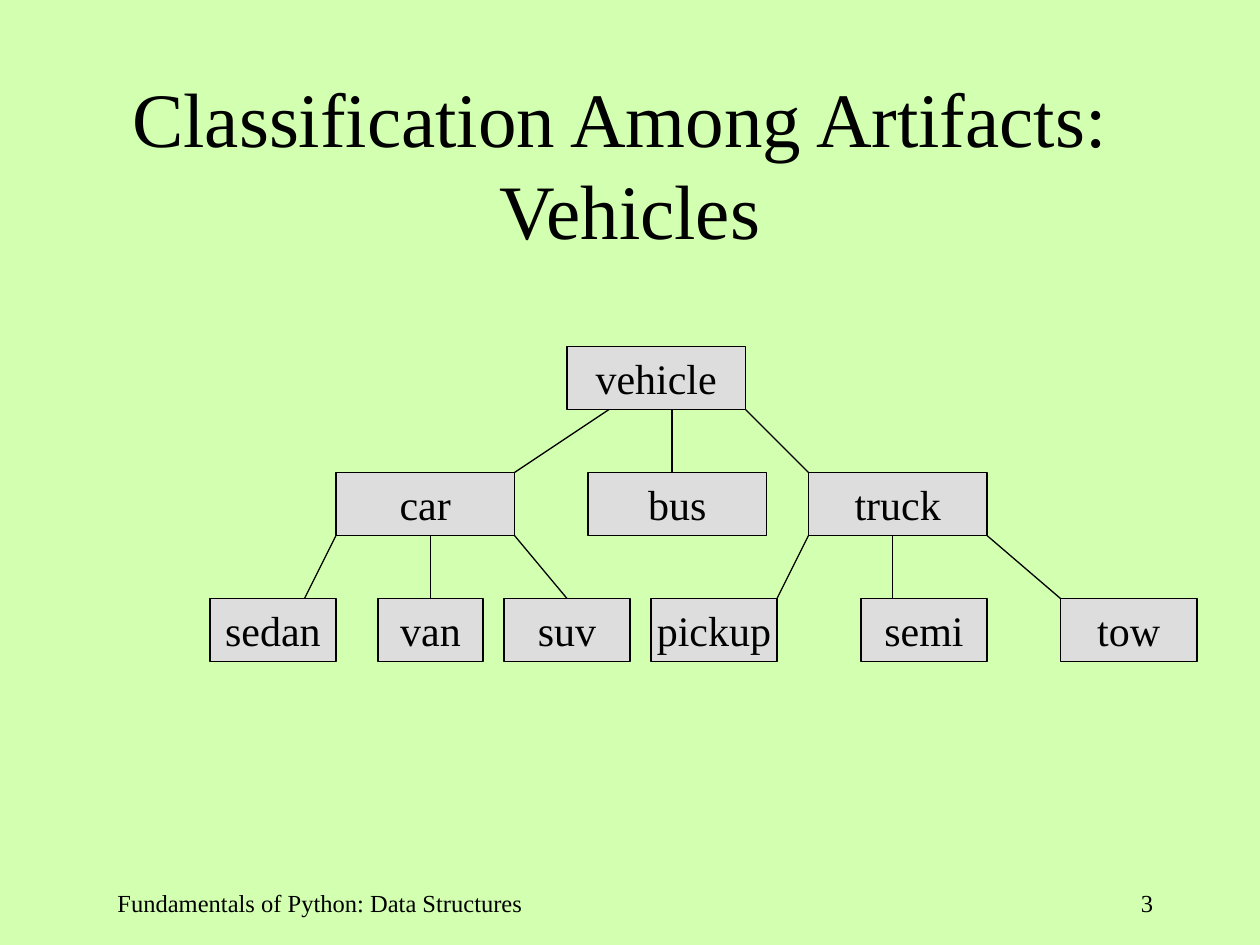
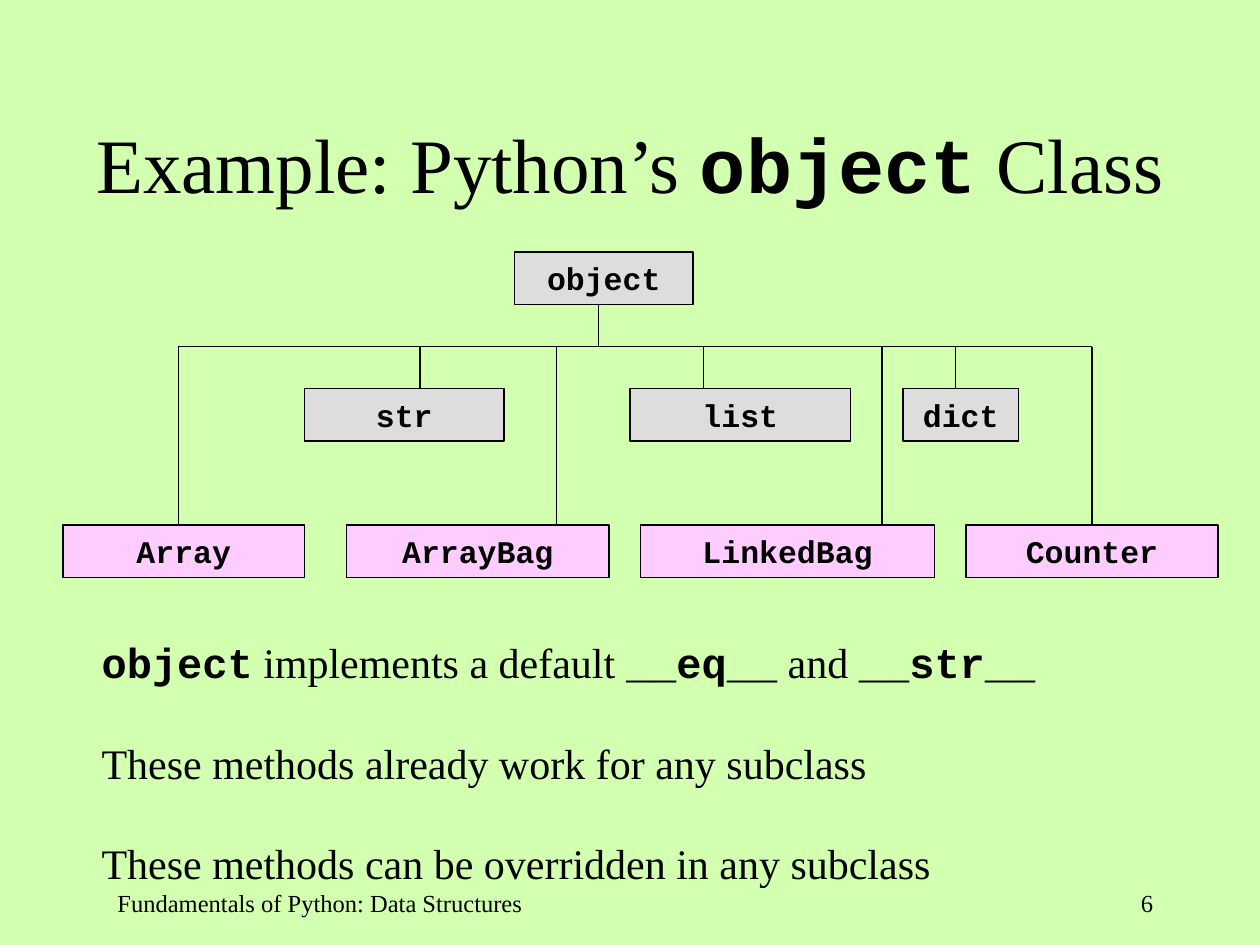
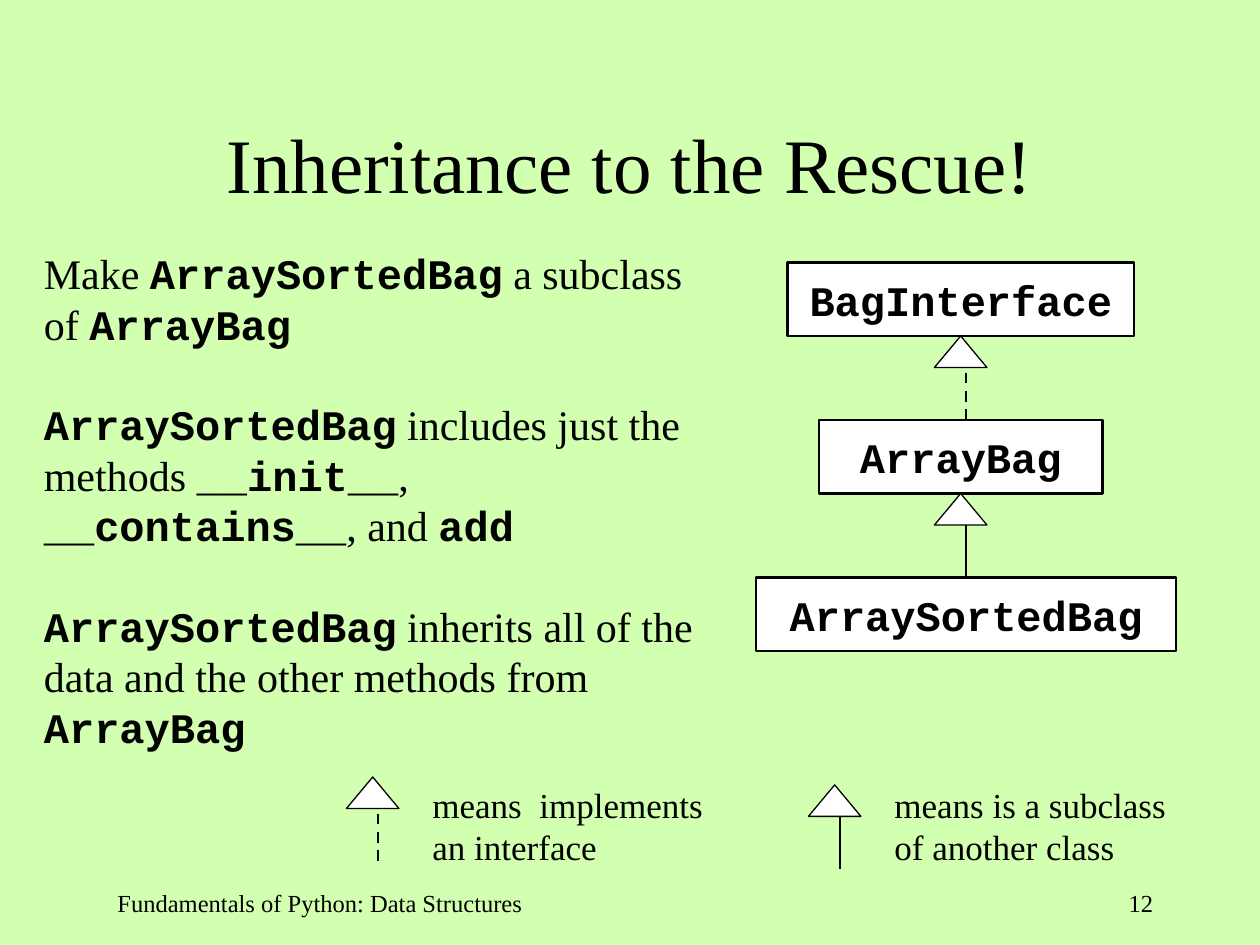
from dataclasses import dataclass

from lxml.etree import SubElement
from pptx import Presentation
from pptx.dml.color import RGBColor
from pptx.enum.dml import MSO_LINE
from pptx.enum.shapes import MSO_CONNECTOR, MSO_SHAPE
from pptx.enum.text import MSO_ANCHOR, PP_ALIGN
from pptx.oxml.ns import qn
from pptx.util import Pt


@dataclass(frozen=True)
class Theme:
    background: str = "D2FFB0"
    ink: str = "000000"
    gray: str = "DDDDDD"
    pink: str = "FFCCFF"
    white: str = "FFFFFF"
    text_font: str = "Times New Roman"
    code_font: str = "Courier New"
    title_size: int = 44
    body_size: int = 24
    legend_size: int = 20
    class_size: int = 18
    footer_size: int = 14
    line_height: float = 1.2
    thin: float = 0.75
    thick: float = 1.5


THEME = Theme()
FOOTER = "Fundamentals of Python: Data Structures"

VEHICLES = {
    "title": "Classification Among Artifacts: \nVehicles",
    "number": "3",
    "top": 198,
    "row_step": 72,
    "box_height": 36,
    "levels": [
        [("vehicle", 324, 102)],
        [("car", 192, 102), ("bus", 336, 102), ("truck", 462, 102)],
        [("sedan", 120, 72), ("van", 216, 60), ("suv", 288, 72),
         ("pickup", 372, 72), ("semi", 492, 72), ("tow", 606, 78)],
    ],
    "links": [
        [(348, 294), (384, 384), (426, 462)],
        [(192, 174), (246, 246), (294, 324), (462, 444), (510, 510), (564, 606)],
    ],
}

OBJECT_CLASS = {
    "title": "Example: Python’s `object` Class",
    "number": "6",
    "box_height": 30,
    "root": ("`object`", 294, 102),
    "root_top": 144,
    "stem": 342,
    "rail_top": 198,
    "levels": [
        (222, THEME.gray,
         [("`str`", 174, 114), ("`list`", 360, 126), ("`dict`", 516, 66)],
         [240, 402, 546]),
        (300, THEME.pink,
         [("`Array`", 36, 138), ("`ArrayBag`", 198, 150),
          ("`LinkedBag`", 366, 168), ("`Counter`", 552, 144)],
         [102, 318, 504, 624]),
    ],
    "body": [
        "`object` implements a default `__eq__` and `__str__`",
        "These methods already work for any subclass",
        "These methods can be overridden in any subclass",
    ],
}

INHERITANCE = {
    "title": "Inheritance to the Rescue!",
    "number": "12",
    "body": [
        "Make `ArraySortedBag` a subclass of `ArrayBag`",
        "`ArraySortedBag` includes just the methods `__init__`, `__contains__`, and `add`",
        "`ArraySortedBag` inherits all of the data and the other methods from `ArrayBag`",
    ],
    "top": 150,
    "row_step": 90,
    "box_height": 42,
    "classes": [("`BagInterface`", 450, 198), ("`ArrayBag`", 468, 162),
                ("`ArraySortedBag`", 432, 240)],
    "arrow_left": 534,
    "arrows_dashed": [True, False],
    "legend_top": 444,
    "legend": [("means  implements an interface", 198, 444, True),
               ("means is a subclass of another class", 462, 448.5, False)],
}


def points(*lengths):
    return [Pt(length) for length in lengths]


def color(value):
    return RGBColor.from_string(value)


def add_runs(paragraph, text, size):
    for part_index, part in enumerate(text.split("`")):
        is_code = part_index % 2 == 1
        for line_index, line in enumerate(part.split("\n")):
            if line_index:
                paragraph.add_line_break()
            if line:
                run = paragraph.add_run()
                run.text = line
                run.font.name = THEME.code_font if is_code else THEME.text_font
                run.font.size = Pt(size)
                run.font.bold = is_code
                run.font.color.rgb = color(THEME.ink)


def write(shape, texts, size, align=PP_ALIGN.LEFT, anchor=MSO_ANCHOR.TOP, wrap=True):
    frame = shape.text_frame
    frame.word_wrap = wrap
    frame.vertical_anchor = anchor
    for index, text in enumerate(texts):
        paragraph = frame.add_paragraph() if index else frame.paragraphs[0]
        paragraph.alignment = align
        paragraph.line_spacing = Pt(size * THEME.line_height)
        if index:
            paragraph.space_before = Pt(size * THEME.line_height)
        add_runs(paragraph, text, size)


def add_text(slide, area, texts, size, **layout):
    write(slide.shapes.add_textbox(*points(*area)), texts, size, **layout)


def add_outlined(slide, kind, area, fill, width):
    shape = slide.shapes.add_shape(kind, *points(*area))
    shape.shadow.inherit = False
    shape.fill.solid()
    shape.fill.fore_color.rgb = color(fill)
    shape.line.color.rgb = color(THEME.ink)
    shape.line.width = Pt(width)
    return shape


def add_box(slide, box, top, height, fill, size, width=THEME.thin):
    label, left, box_width = box
    shape = add_outlined(slide, MSO_SHAPE.RECTANGLE,
                         (left, top, box_width, height), fill, width)
    write(shape, [label], size, align=PP_ALIGN.CENTER,
          anchor=MSO_ANCHOR.MIDDLE, wrap=False)


def add_line(slide, start, end, width=THEME.thin, dashed=False):
    line = slide.shapes.add_connector(MSO_CONNECTOR.STRAIGHT, *points(*start, *end))
    line.line.color.rgb = color(THEME.ink)
    line.line.width = Pt(width)
    if dashed:
        line.line.dash_style = MSO_LINE.DASH
    SubElement(line._element.spPr, qn("a:effectLst"))


def add_uml_arrow(slide, left, top, dashed):
    stem = left + 18
    add_line(slide, (stem, top + 48), (stem, top + 18), THEME.thick, dashed)
    add_outlined(slide, MSO_SHAPE.ISOSCELES_TRIANGLE, (left, top, 30, 18),
                 THEME.white, THEME.thin)


def add_slide(presentation, content):
    slide = presentation.slides.add_slide(presentation.slide_layouts[6])
    add_text(slide, (0, 48, 720, 90), [content["title"]], THEME.title_size,
             align=PP_ALIGN.CENTER, anchor=MSO_ANCHOR.MIDDLE)
    add_text(slide, (60, 504, 270, 36), [FOOTER], THEME.footer_size)
    add_text(slide, (516, 504, 150, 36), [content["number"]], THEME.footer_size,
             align=PP_ALIGN.RIGHT)
    return slide


def build_vehicles(presentation, content):
    slide = add_slide(presentation, content)
    height, step = content["box_height"], content["row_step"]
    for row, boxes in enumerate(content["levels"]):
        for box in boxes:
            add_box(slide, box, content["top"] + row * step, height,
                    THEME.gray, THEME.body_size)
    for row, links in enumerate(content["links"]):
        parent_bottom = content["top"] + row * step + height
        child_top = content["top"] + (row + 1) * step
        for parent_x, child_x in links:
            add_line(slide, (parent_x, parent_bottom), (child_x, child_top))


def build_object_class(presentation, content):
    slide = add_slide(presentation, content)
    height, rail, stem = content["box_height"], content["rail_top"], content["stem"]
    add_box(slide, content["root"], content["root_top"], height,
            THEME.gray, THEME.class_size)
    add_line(slide, (stem, content["root_top"] + height), (stem, rail))
    all_drops = [x for level in content["levels"] for x in level[3]]
    add_line(slide, (min(all_drops), rail), (max(all_drops), rail))
    for top, fill, boxes, drops in content["levels"]:
        for box, drop in zip(boxes, drops):
            add_box(slide, box, top, height, fill, THEME.class_size)
            add_line(slide, (drop, rail), (drop, top))
    add_text(slide, (51, 360, 560, 151), content["body"], THEME.body_size)


def build_inheritance(presentation, content):
    slide = add_slide(presentation, content)
    add_text(slide, (18, 138, 390, 295), content["body"], THEME.body_size)
    height, top, step = content["box_height"], content["top"], content["row_step"]
    for row, box in enumerate(content["classes"]):
        add_box(slide, box, top + row * step, height, THEME.white,
                THEME.body_size, THEME.thick)
    for row, dashed in enumerate(content["arrows_dashed"]):
        add_uml_arrow(slide, content["arrow_left"], top + row * step + height, dashed)
    for text, left, arrow_top, dashed in content["legend"]:
        add_uml_arrow(slide, left, arrow_top, dashed)
        add_text(slide, (left + 42, content["legend_top"], 186, 55), [text],
                 THEME.legend_size)


def main():
    presentation = Presentation()
    presentation.slide_width, presentation.slide_height = points(720, 540)
    background = presentation.slide_master.background.fill
    background.solid()
    background.fore_color.rgb = color(THEME.background)
    build_vehicles(presentation, VEHICLES)
    build_object_class(presentation, OBJECT_CLASS)
    build_inheritance(presentation, INHERITANCE)
    presentation.save("out.pptx")


if __name__ == "__main__":
    main()
